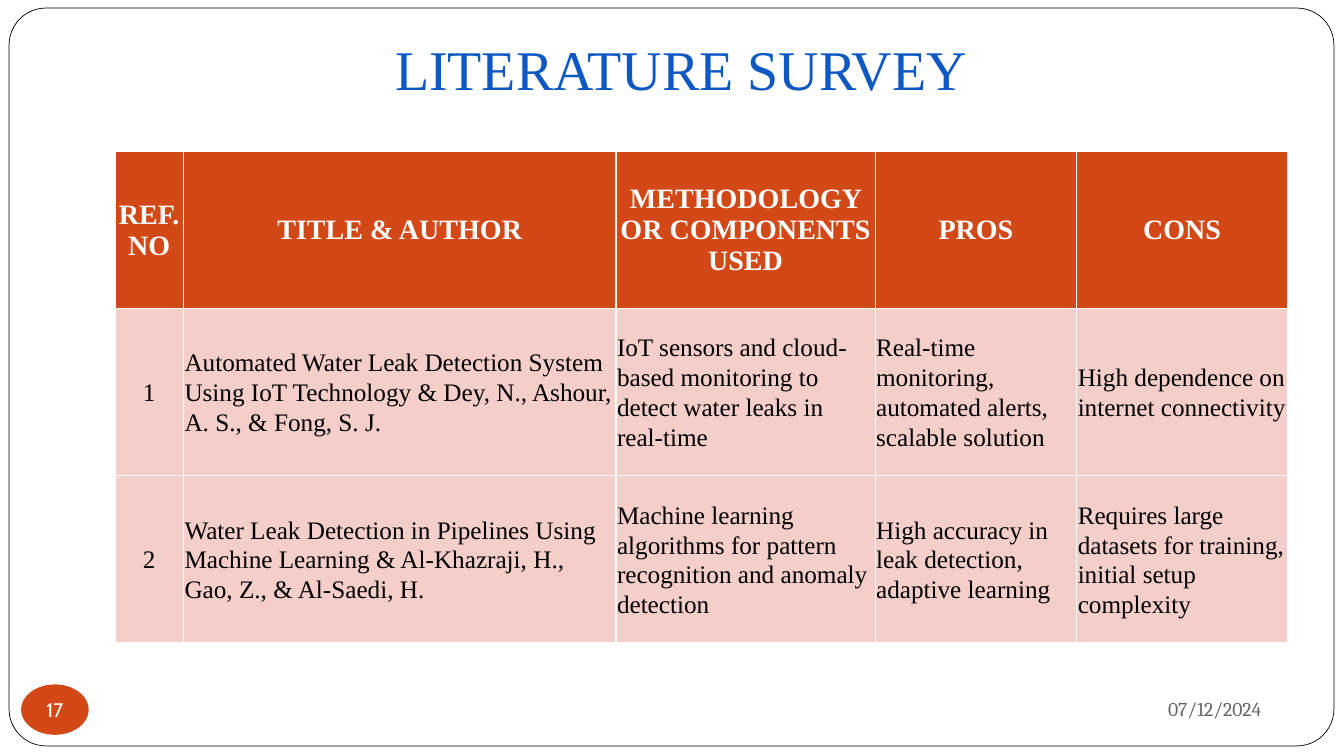
import pptx
import pptx.dml.color
import pptx.enum.shapes
import pptx.enum.text
import pptx.oxml
import pptx.oxml.ns
import pptx.util
from pptx.util import Inches

COLORS = {
    "white": "FFFFFF",
    "black": "000000",
    "title": "0E58C4",
    "accent": "D34817",
    "row": "F4CEC9",
    "date": "696464",
}
SERIF = "Times New Roman"
ALIGN = pptx.enum.text.PP_ALIGN
ANCHOR = pptx.enum.text.MSO_ANCHOR
SHAPE = pptx.enum.shapes.MSO_SHAPE

COLUMN_WIDTHS = [0.68, 4.29, 2.57, 2, 2.09]
ROW_HEIGHTS = [1.56, 1.66, 1.66]
SURVEY = [
    ["REF. NO", "TITLE & AUTHOR", "METHODOLOGY OR COMPONENTS USED", "PROS", "CONS"],
    [
        "1",
        "Automated Water Leak Detection System Using IoT Technology & Dey, N., Ashour, A. S., & Fong, S. J.",
        "IoT sensors and cloud-based monitoring to detect water leaks in real-time",
        "Real-time monitoring, automated alerts, scalable solution",
        "High dependence on internet connectivity",
    ],
    [
        "2",
        "Water Leak Detection in Pipelines Using Machine Learning & Al-Khazraji, H., Gao, Z., & Al-Saedi, H.",
        "Machine learning algorithms for pattern recognition and anomaly detection",
        "High accuracy in leak detection, adaptive learning",
        "Requires large datasets for training, initial setup complexity",
    ],
]


def rgb(name):
    """Return the named colour."""
    return pptx.dml.color.RGBColor.from_string(COLORS[name])


def write(frame, text, size, font, color, align, bold=False):
    """Write one formatted run and return its paragraph."""
    paragraph = frame.paragraphs[0]
    paragraph.alignment = align
    run = paragraph.add_run()
    run.text = text
    run.font.size = pptx.util.Pt(size)
    run.font.name = font
    run.font.bold = bold
    run.font.color.rgb = rgb(color)
    return paragraph


def add_filled_shape(slide, kind, left, top, width, height, fill):
    """Add a preset shape with a plain fill, no shadow and no line."""
    shape = slide.shapes.add_shape(
        kind, Inches(left), Inches(top), Inches(width), Inches(height))
    shape.shadow.inherit = False
    shape.fill.solid()
    shape.fill.fore_color.rgb = rgb(fill)
    shape.line.fill.background()
    return shape


def set_title(slide, text):
    """Place and format the slide title."""
    title = slide.shapes.title
    title.left, title.top = Inches(1.09), Inches(0.19)
    title.width, title.height = Inches(11.33), Inches(0.92)
    frame = title.text_frame
    frame.vertical_anchor = ANCHOR.BOTTOM
    frame.margin_bottom = Inches(0.1)
    write(frame, text, 40, SERIF, "title", ALIGN.CENTER)


def add_page_frame(slide):
    """Add the rounded page outline behind the title."""
    outline = add_filled_shape(
        slide, SHAPE.ROUNDED_RECTANGLE, 0.09, 0.08, 13.14, 7.32, "white")
    outline.adjustments[0] = 0.05
    outline.line.color.rgb = rgb("black")
    outline.line.width = pptx.util.Pt(0.5)
    slide.shapes.title._element.addprevious(outline._element)


def add_date(slide, text):
    """Add the date at the lower right."""
    date = slide.shapes.add_textbox(Inches(9), Inches(6.77), Inches(3.61), Inches(0.52))
    date.text_frame.word_wrap = True
    date.text_frame.vertical_anchor = ANCHOR.MIDDLE
    write(date.text_frame, text, 14, "Cambria", "date", ALIGN.RIGHT)


def add_page_number(slide, text):
    """Add the page number in its oval badge."""
    badge = add_filled_shape(slide, SHAPE.OVAL, 0.21, 6.79, 0.67, 0.5, "accent")
    frame = badge.text_frame
    frame.word_wrap = False
    frame.vertical_anchor = ANCHOR.MIDDLE
    frame.margin_left = frame.margin_right = frame.margin_top = frame.margin_bottom = 0
    write(frame, text, 14, "Cabin", "white", ALIGN.CENTER)


def set_borders(cell, color, points):
    """Draw the four borders of a cell."""
    properties = cell._tc.get_or_add_tcPr()
    for index, side in enumerate(("lnL", "lnR", "lnT", "lnB")):
        border = pptx.oxml.parse_xml(
            f'<a:{side} {pptx.oxml.ns.nsdecls("a")} w="{pptx.util.Pt(points)}">'
            f'<a:solidFill><a:srgbClr val="{COLORS[color]}"/></a:solidFill></a:{side}>')
        properties.insert(index, border)


def fill_cell(cell, text, is_header, is_centered):
    """Fill and format one table cell."""
    cell.vertical_anchor = ANCHOR.MIDDLE
    cell.margin_left = cell.margin_right = cell.margin_top = Inches(0.01)
    cell.margin_bottom = Inches(0 if is_centered else 0.01)
    cell.fill.solid()
    cell.fill.fore_color.rgb = rgb("accent" if is_header else "row")
    set_borders(cell, "white", 1)
    paragraph = write(
        cell.text_frame, text, 20 if is_header else 18, SERIF,
        "white" if is_header else "black",
        ALIGN.CENTER if is_centered else ALIGN.LEFT, is_header)
    if not is_centered:
        paragraph.line_spacing = 1.07
        paragraph.space_after = pptx.util.Pt(8)


def add_survey_table(slide):
    """Add the table of surveyed papers."""
    table = slide.shapes.add_table(
        len(ROW_HEIGHTS), len(COLUMN_WIDTHS), Inches(1.14), Inches(1.5),
        Inches(sum(COLUMN_WIDTHS)), Inches(sum(ROW_HEIGHTS))).table
    table.horz_banding = False
    for column, width in zip(table.columns, COLUMN_WIDTHS):
        column.width = Inches(width)
    for row, height in zip(table.rows, ROW_HEIGHTS):
        row.height = Inches(height)
    for row, entries in enumerate(SURVEY):
        for column, text in enumerate(entries):
            fill_cell(table.cell(row, column), text, row == 0, row == 0 or column == 0)


def main():
    """Build the literature survey slide."""
    deck = pptx.Presentation()
    deck.slide_width, deck.slide_height = Inches(13.33), Inches(7.5)
    slide = deck.slides.add_slide(deck.slide_layouts[5])
    set_title(slide, "LITERATURE SURVEY")
    add_page_frame(slide)
    add_date(slide, "07/12/2024")
    add_survey_table(slide)
    add_page_number(slide, "17")
    deck.save("out.pptx")


if __name__ == "__main__":
    main()
